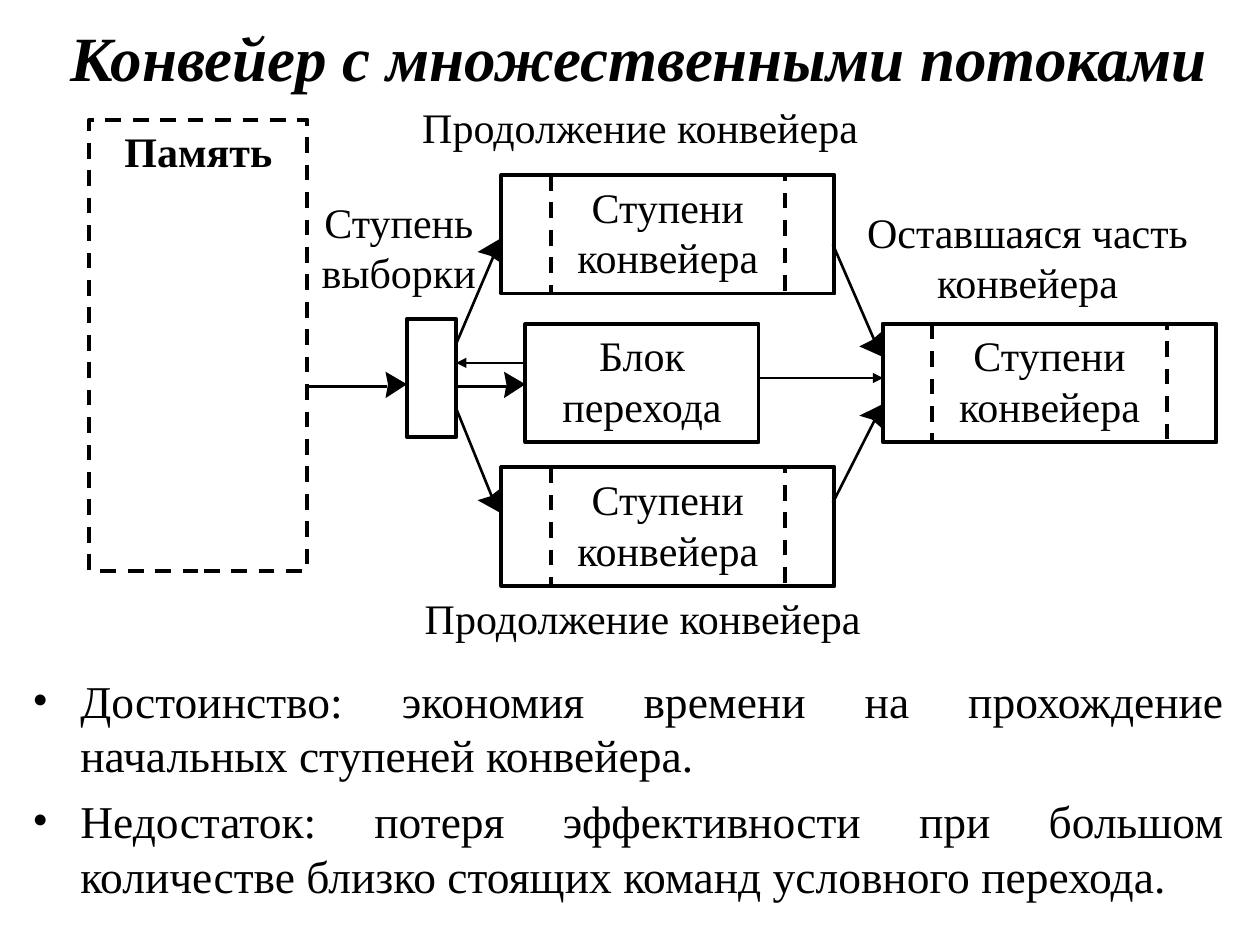
from typing import NamedTuple

from pptx import Presentation
from pptx.dml.color import RGBColor
from pptx.enum.dml import MSO_LINE_DASH_STYLE as Dash
from pptx.enum.shapes import MSO_CONNECTOR as Connector, MSO_SHAPE as Shape
from pptx.enum.text import MSO_ANCHOR as Anchor, PP_ALIGN as Align
from pptx.oxml.ns import qn
from pptx.util import Inches, Pt
from lxml.etree import SubElement

FONT = "Times New Roman"
BLACK = "000000"


class Box(NamedTuple):
    left: float
    top: float
    width: float
    height: float
    text: str = ""
    dashed: bool = False
    bold: bool = False


class Flow(NamedTuple):
    start: tuple[float, float]
    end: tuple[float, float]
    weight: float = 1.5
    arrow: bool = False


class Arrowhead(NamedTuple):
    tip: tuple[float, float]
    wing: tuple[float, float]
    notch: tuple[float, float]
    other_wing: tuple[float, float]


def color(value: str) -> RGBColor:
    return RGBColor.from_string(value)


def frame(box: Box) -> list[int]:
    return [Inches(n) for n in box[:4]]


def write(target, text: str, size: float, align=Align.CENTER,
          anchor=Anchor.TOP, bold=False, italic=False) -> None:
    text_frame = target.text_frame
    text_frame.word_wrap = True
    text_frame.vertical_anchor = anchor
    text_frame.text = text
    for paragraph in text_frame.paragraphs:
        paragraph.alignment = align
        for run in paragraph.runs:
            run.font.name = FONT
            run.font.size = Pt(size)
            run.font.bold = bold
            run.font.italic = italic
            run.font.color.rgb = color(BLACK)


def draw_label(shapes, box: Box) -> None:
    write(shapes.add_textbox(*frame(box)), box.text, 24)


def draw_block(shapes, box: Box) -> None:
    block = shapes.add_shape(Shape.RECTANGLE, *frame(box))
    block.shadow.inherit = False
    block.fill.background()
    block.line.color.rgb = color(BLACK)
    block.line.width = Pt(2.25)
    if box.dashed:
        block.line.dash_style = Dash.DASH
    if box.text:
        write(block, box.text, 24, bold=box.bold)


def draw_stages(shapes, left: float, top: float) -> None:
    width, height, edge = 2.64, 0.94, 0.39
    group = shapes.add_group_shape().shapes
    draw_block(group, Box(left, top, width, height, "Ступени конвейера"))
    for edge_left in (left, left + width - edge):
        draw_block(group, Box(edge_left, top, edge, height, dashed=True))


def draw_flow(shapes, flow: Flow) -> None:
    ends = [Inches(n) for n in flow.start + flow.end]
    connector = shapes.add_connector(Connector.STRAIGHT, *ends)
    connector.line.color.rgb = color(BLACK)
    connector.line.width = Pt(flow.weight)
    properties = connector._element.spPr
    if flow.arrow:
        SubElement(properties.find(qn("a:ln")), qn("a:tailEnd"), type="triangle")
    SubElement(properties, qn("a:effectLst"))


def draw_arrowhead(shapes, head: Arrowhead) -> None:
    first, *others = [(Inches(x), Inches(y)) for x, y in head]
    builder = shapes.build_freeform(*first)
    builder.add_line_segments(others, close=True)
    outline = builder.convert_to_shape()
    outline.shadow.inherit = False
    outline.fill.solid()
    outline.fill.fore_color.rgb = color(BLACK)
    outline.line.fill.background()


def draw_conclusions(shapes) -> None:
    conclusions = shapes.add_textbox(*frame(Box(0.16, 5.29, 9.66, 1.97)))
    write(conclusions,
          "Достоинство: экономия времени на прохождение начальных ступеней конвейера.\n"
          "Недостаток: потеря эффективности при большом количестве близко стоящих "
          "команд условного перехода.", 26, Align.JUSTIFY)
    for index, paragraph in enumerate(conclusions.text_frame.paragraphs):
        if index:
            paragraph.space_before = Pt(6.5)
        properties = paragraph._p.get_or_add_pPr()
        properties.set("marL", str(Inches(0.38)))
        properties.set("indent", str(-Inches(0.38)))
        bullet_color = SubElement(properties, qn("a:buClr"))
        SubElement(bullet_color, qn("a:srgbClr"), val=BLACK)
        SubElement(properties, qn("a:buFont"), typeface=FONT)
        SubElement(properties, qn("a:buChar"), char="•")


LABELS = [
    Box(2.24, 1.51, 1.85, 1.02, "Ступень выборки"),
    Box(6.58, 1.59, 3.15, 0.86, "Оставшаяся часть конвейера"),
    Box(3.19, 0.76, 3.78, 0.55, "Продолжение конвейера"),
    Box(3.11, 4.65, 3.98, 0.55, "Продолжение конвейера"),
]
BLOCKS = [
    Box(0.71, 0.95, 1.73, 3.58, "Память", dashed=True, bold=True),
    Box(3.23, 2.53, 0.39, 0.94),
    Box(4.17, 2.57, 1.85, 0.94, "Блок перехода"),
]
STAGES = [(3.98, 1.39), (3.98, 3.71), (7.01, 2.57)]
FLOWS = [
    Flow((2.44, 3.07), (3.07, 3.07)),
    Flow((3.62, 3.07), (4.02, 3.07)),
    Flow((3.62, 2.73), (3.94, 1.98)),
    Flow((3.62, 3.24), (3.94, 4.03)),
    Flow((6.61, 1.94), (6.97, 2.77)),
    Flow((6.61, 3.99), (6.97, 3.28)),
    Flow((4.17, 2.88), (3.62, 2.88), 0.75, True),
    Flow((6.02, 3), (7.01, 3), 0.75, True),
]
ARROWHEADS = [
    Arrowhead((3.96, 1.9), (3.79, 2), (3.89, 2.03), (3.98, 2.09)),
    Arrowhead((3.97, 4.07), (3.79, 3.97), (3.89, 3.94), (3.98, 3.87)),
    Arrowhead((7, 2.83), (7, 2.63), (6.92, 2.7), (6.82, 2.75)),
    Arrowhead((7, 3.21), (7.01, 3.41), (6.92, 3.33), (6.82, 3.3)),
    *(Arrowhead((tip, 3.05), (tip - 0.17, 3.16), (tip - 0.15, 3.05), (tip - 0.17, 2.95))
      for tip in (3.23, 4.17)),
]


def main() -> None:
    presentation = Presentation()
    presentation.slide_width = Inches(10)
    presentation.slide_height = Inches(7.5)
    shapes = presentation.slides.add_slide(presentation.slide_layouts[6]).shapes

    title = shapes.add_textbox(*frame(Box(0, 0.17, 10, 0.55)))
    title.text_frame.margin_left = Inches(0.24)
    write(title, "Конвейер с множественными потоками", 36,
          anchor=Anchor.MIDDLE, bold=True, italic=True)
    draw_conclusions(shapes)
    for label in LABELS:
        draw_label(shapes, label)
    for block in BLOCKS:
        draw_block(shapes, block)
    for flow in FLOWS:
        draw_flow(shapes, flow)
    for head in ARROWHEADS:
        draw_arrowhead(shapes, head)
    for left, top in STAGES:
        draw_stages(shapes, left, top)

    presentation.save("out.pptx")


if __name__ == "__main__":
    main()
